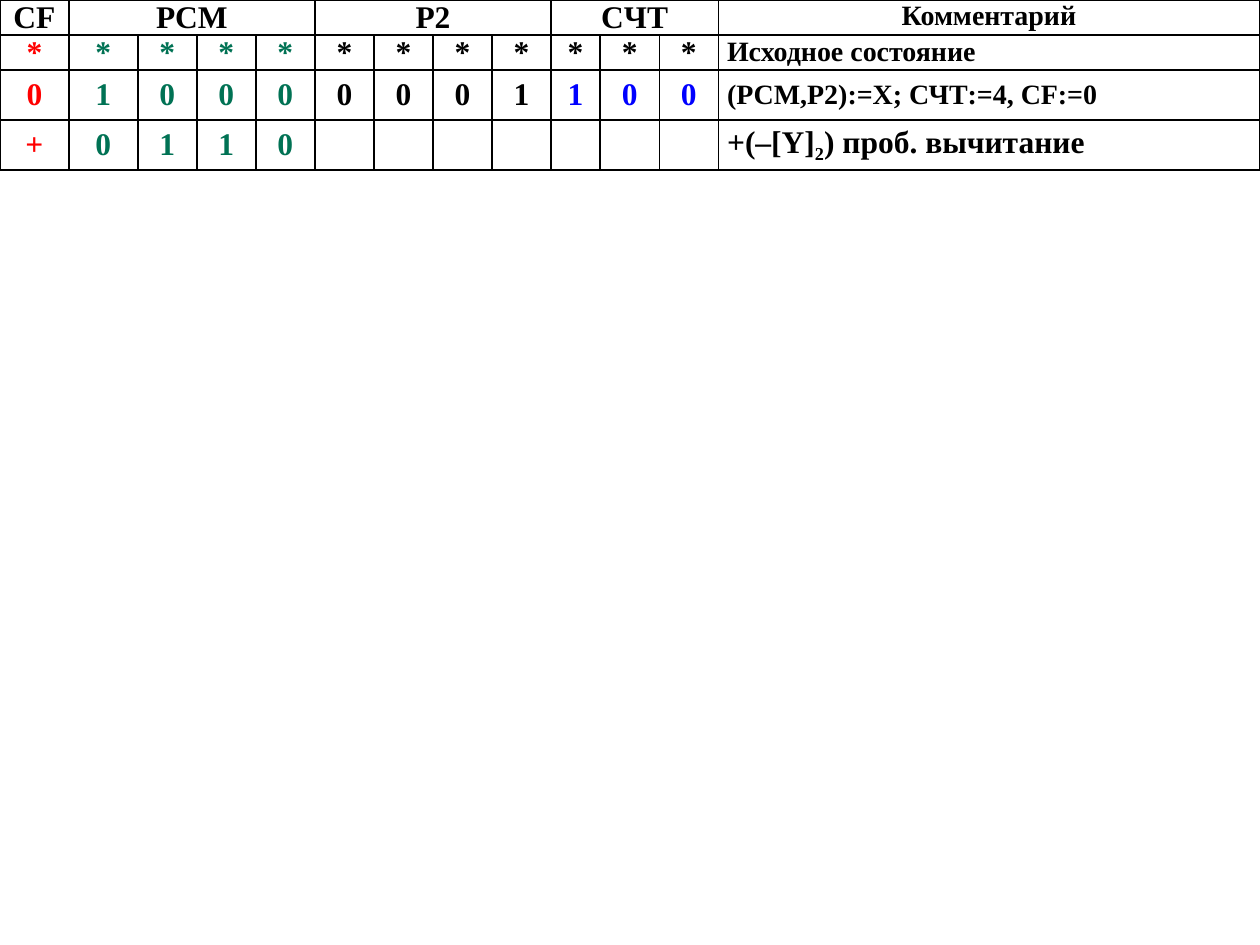
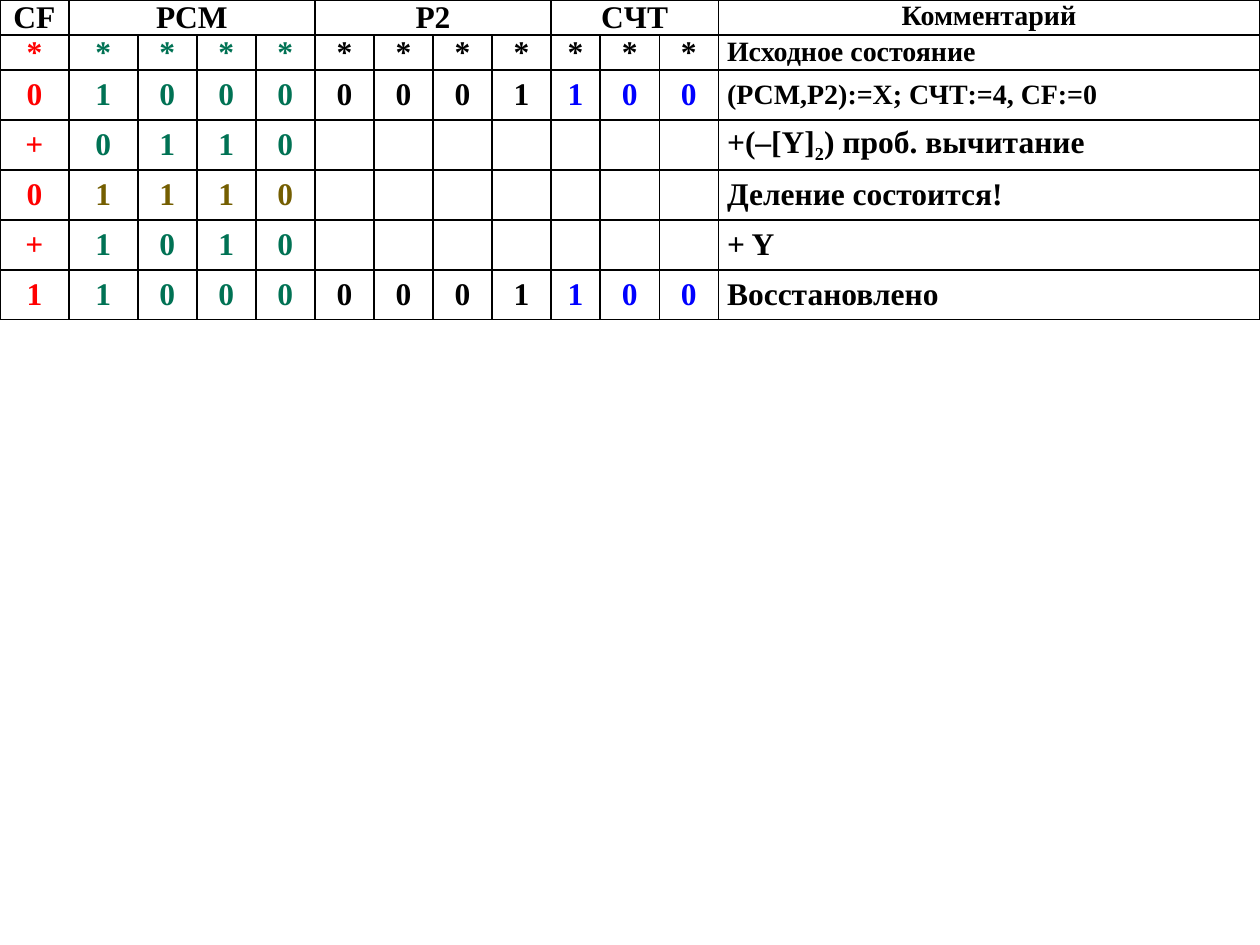
from lxml import etree
from pptx import Presentation
from pptx.dml.color import RGBColor
from pptx.enum.text import MSO_ANCHOR, PP_ALIGN
from pptx.oxml.ns import qn
from pptx.util import Inches, Pt

CENTER, LEFT = PP_ALIGN.CENTER, PP_ALIGN.LEFT
TOP, MIDDLE = MSO_ANCHOR.TOP, MSO_ANCHOR.MIDDLE

BLACK = RGBColor(0x00, 0x00, 0x00)
RED = RGBColor(0xFF, 0x00, 0x00)
GREEN = RGBColor(0x00, 0x72, 0x54)
OLIVE = RGBColor(0x74, 0x5E, 0x00)
BLUE = RGBColor(0x00, 0x00, 0xFF)

FONT = "Times New Roman"
LARGE, SMALL = Pt(18), Pt(16)
SLIDE_WIDTH, SLIDE_HEIGHT = Inches(10), Inches(7.5)

# Grid: the slide is 128 units wide and 189 units high
GRID_COLUMNS, GRID_ROWS = 128, 189
COLUMN_UNITS = [7, 7] + [6] * 7 + [5, 6, 6, 55]
LOW_ROW, HIGH_ROW = 7, 10
COMMENT_COLUMN = len(COLUMN_UNITS) - 1

# Heading, number of columns, text size
HEADINGS = [("CF", 1, LARGE), ("PCM", 4, LARGE), ("P2", 4, LARGE),
            ("CЧТ", 3, LARGE), ("Комментарий", 1, SMALL)]


def register_colours(pcm=GREEN, counter=BLUE):
    return [RED] + [pcm] * 4 + [BLACK] * 4 + [counter] * 3


# Row height, bits from the left, bit colours, comment parts, comment size;
# every second comment part is a subscript
STEPS = [
    (LOW_ROW, "*" * 12, register_colours(counter=BLACK), ["Исходное состояние"], SMALL),
    (HIGH_ROW, "010000001100", register_colours(), ["(РСМ,Р2):=Х; СЧТ:=4, CF:=0"], SMALL),
    (HIGH_ROW, "+0110", register_colours(), ["+(–[Y]", "2", ") проб. вычитание"], LARGE),
    (HIGH_ROW, "01110", register_colours(pcm=OLIVE), ["Деление состоится!"], LARGE),
    (HIGH_ROW, "+1010", register_colours(), ["+ Y"], LARGE),
    (HIGH_ROW, "110000001100", register_colours(), ["Восстановлено"], LARGE),
]


def set_attributes(target, values):
    for name, value in values.items():
        setattr(target, name, value)


def format_cell(cell, anchor):
    set_attributes(cell, {
        "margin_left": Inches(0.07), "margin_right": Inches(0.07),
        "margin_top": 0, "margin_bottom": 0, "vertical_anchor": anchor})
    properties = cell._tc.get_or_add_tcPr()
    for side in ("a:lnL", "a:lnR", "a:lnT", "a:lnB"):
        line = etree.SubElement(properties, qn(side), w=str(Pt(1)))
        solid = etree.SubElement(line, qn("a:solidFill"))
        etree.SubElement(solid, qn("a:srgbClr"), val=str(BLACK))
    cell.fill.background()


def write_cell(cell, parts, size, colour=BLACK, alignment=CENTER):
    paragraph = cell.text_frame.paragraphs[0]
    paragraph.alignment = alignment
    for index, text in enumerate(parts):
        run = paragraph.add_run()
        run.text = text
        set_attributes(run.font, {"name": FONT, "size": size, "bold": True})
        run.font.color.rgb = colour
        if index % 2:
            run._r.get_or_add_rPr().set("baseline", "-25000")


def fill_heading_row(table):
    column = 0
    for text, span, size in HEADINGS:
        cell = table.cell(0, column)
        if span > 1:
            cell.merge(table.cell(0, column + span - 1))
        write_cell(cell, [text], size)
        column += span


def add_division_table(slide, left, top, width, height, steps):
    """Place the trace of the division in a box the size of the whole grid."""
    row_units = [LOW_ROW] + [step[0] for step in steps]
    table_height = height * sum(row_units) // GRID_ROWS
    table = slide.shapes.add_table(
        len(row_units), len(COLUMN_UNITS), left, top, width, table_height).table
    set_attributes(table, {"first_row": False, "horz_banding": False})

    # Grid sizes
    for column, units in zip(table.columns, COLUMN_UNITS):
        column.width = width * units // GRID_COLUMNS
    for row, units in zip(table.rows, row_units):
        row.height = height * units // GRID_ROWS

    # Borders and margins
    for row_index, row in enumerate(table.rows):
        for cell in row.cells:
            format_cell(cell, MIDDLE if row_index else TOP)

    # Headings, then one row for each step
    fill_heading_row(table)
    for row_index, (_, bits, colours, comment, size) in enumerate(steps, start=1):
        for column, (bit, colour) in enumerate(zip(bits, colours)):
            write_cell(table.cell(row_index, column), [bit], LARGE, colour)
        write_cell(table.cell(row_index, COMMENT_COLUMN), comment, size, alignment=LEFT)


def main():
    presentation = Presentation()
    set_attributes(presentation, {"slide_width": SLIDE_WIDTH, "slide_height": SLIDE_HEIGHT})
    blank_layout = presentation.slide_layouts[6]
    for step_count in (3, len(STEPS)):
        slide = presentation.slides.add_slide(blank_layout)
        add_division_table(slide, 0, 0, SLIDE_WIDTH, SLIDE_HEIGHT, STEPS[:step_count])
    presentation.save("out.pptx")


if __name__ == "__main__":
    main()
